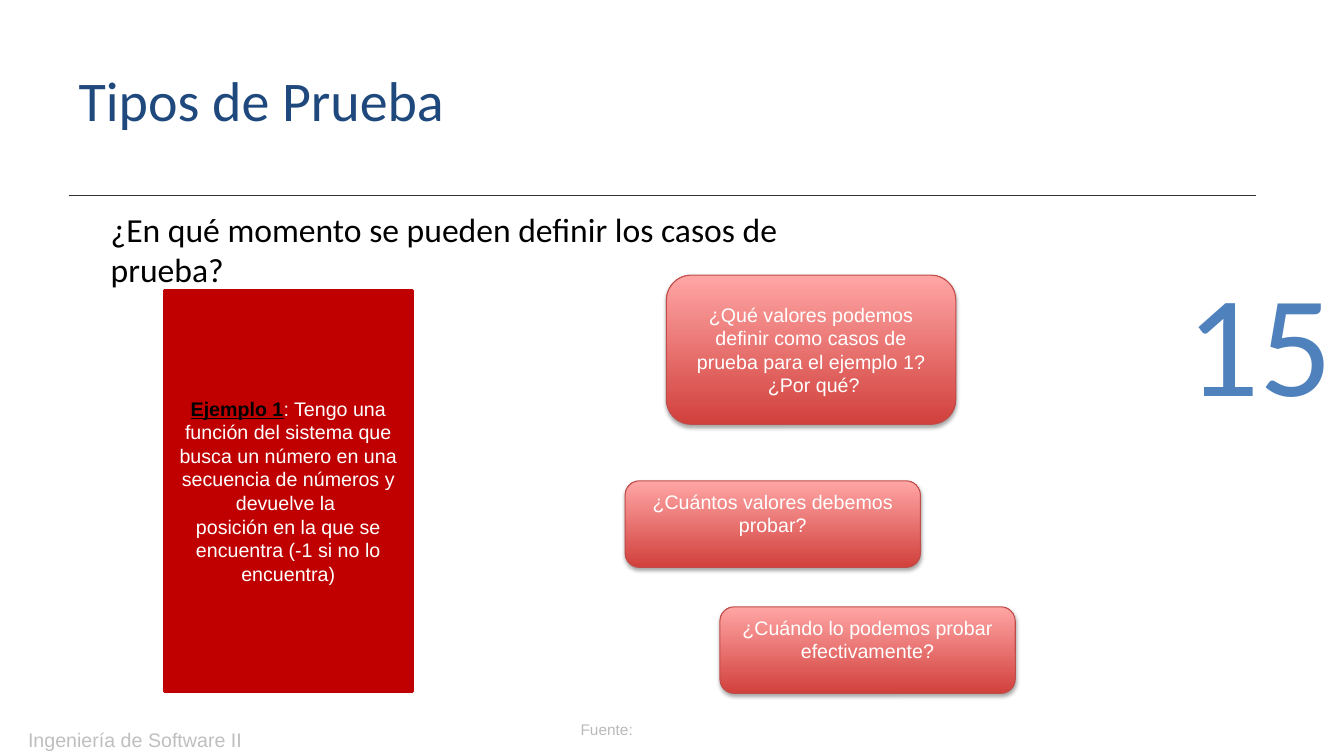
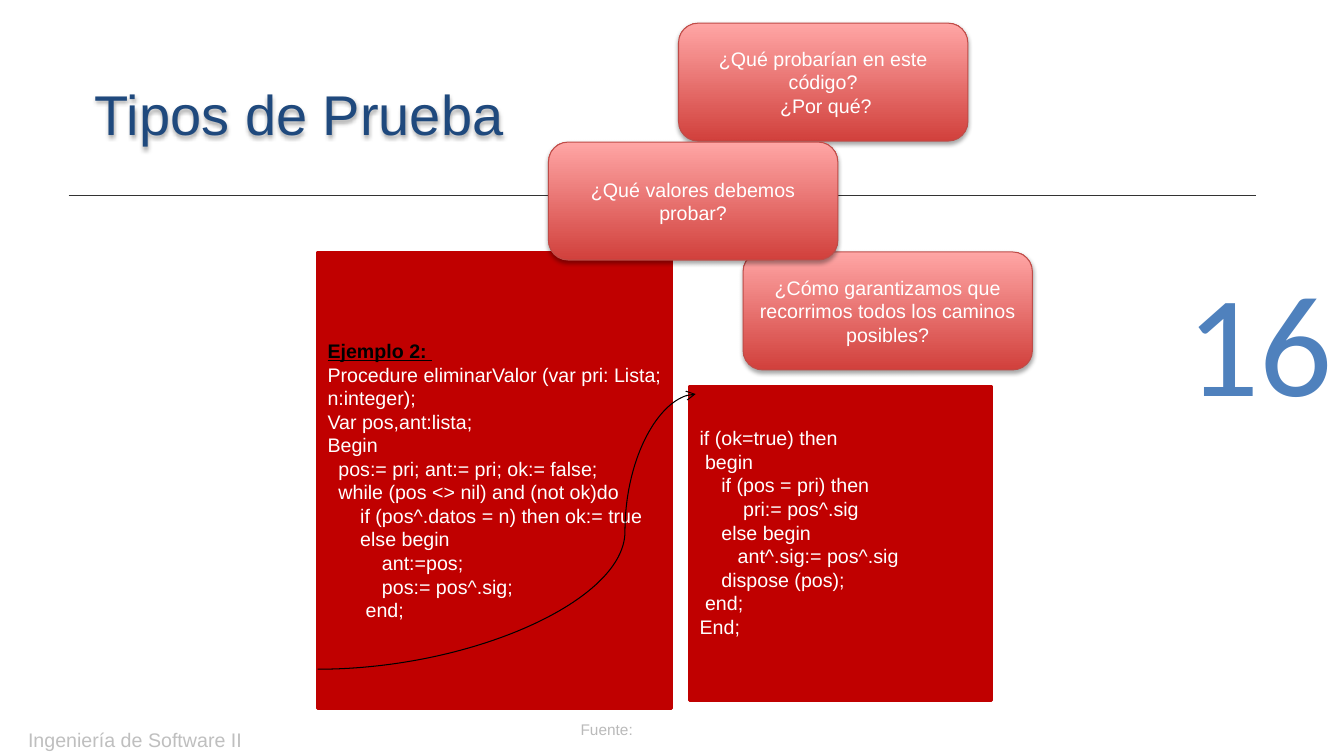
from pptx import Presentation
from pptx.dml.color import RGBColor
from pptx.enum.shapes import MSO_CONNECTOR as Link, MSO_SHAPE as Form
from pptx.enum.text import MSO_ANCHOR as Anchor, PP_ALIGN as Align
from pptx.oxml.ns import qn
from pptx.util import Inches, Pt
from lxml.etree import SubElement as Sub

HUES = {
    "title": "1F497D", "page": "4F81BD", "foot": "BFBFBF", "source": "BABABA",
    "rule": "333333", "red": "C00000", "deep": "D1403C", "pale": "FFA6A5",
    "edge": "BF4C48", "black": "000000", "white": "FFFFFF",
}
SPACE = 0.054  # width of one blank in the 14 point code font
LINE = 0.22    # height of one 14 point line


def hue(name):
    return RGBColor.from_string(HUES[name])


def style(font, size, color, face="Arial"):
    font.size, font.name = Pt(size), face
    font.color.rgb = hue(color)


def shade(shape):
    """Give a shape a soft shadow below it."""
    shape.shadow.inherit = False
    effects = shape.element.spPr.find(qn("a:effectLst"))
    outer = Sub(effects, qn("a:outerShdw"), blurRad=str(Pt(3.1)),
                dist=str(Pt(1.8)), dir="5400000", rotWithShape="0")
    tint = Sub(outer, qn("a:srgbClr"), val=HUES["black"])
    Sub(tint, qn("a:alpha"), val="35000")


def label(slide, spot, text, size, color, face="Arial",
          align=Align.LEFT, anchor=Anchor.TOP):
    box = slide.shapes.add_textbox(*map(Inches, spot))
    frame = box.text_frame
    frame.word_wrap, frame.vertical_anchor = True, anchor
    para = frame.paragraphs[0]
    para.text, para.alignment = text, align
    style(para.font, size, color, face)
    return box


def link(slide, kind, ends, color):
    line = slide.shapes.add_connector(kind, *map(Inches, ends))
    line.line.color.rgb = hue(color)
    line.line.width = Pt(0.75)
    Sub(line.element.spPr, qn("a:effectLst"))
    return line


def block(slide, form, spot, lines, align, low=0):
    """Add a shape with (indent, text) lines, lifted by low inches."""
    shape = slide.shapes.add_shape(form, *map(Inches, spot))
    shape.shadow.inherit = False
    frame = shape.text_frame
    frame.word_wrap, frame.vertical_anchor = True, Anchor.MIDDLE
    frame.margin_bottom = Inches(0.05 + low)
    for at, (depth, text) in enumerate(lines):
        para = frame.add_paragraph() if at else frame.paragraphs[0]
        para.alignment = align
        style(para.font, 14, "white")
        if depth:
            para._p.get_or_add_pPr().set("marL", str(Inches(depth * SPACE)))
        para.add_run().text = text
    return shape


def panel(slide, spot, lines, align=Align.LEFT, low=0):
    shape = block(slide, Form.RECTANGLE, spot, lines, align, low)
    shape.fill.solid()
    shape.fill.fore_color.rgb = shape.line.color.rgb = hue("red")
    shape.line.width = Pt(2)
    return shape.text_frame.paragraphs[0]


def mark(run):
    """Set a run as the heading of an example."""
    run.font.bold = run.font.underline = True
    run.font.color.rgb = hue("black")


def pill(slide, spot, *texts, low=0):
    shape = block(slide, Form.ROUNDED_RECTANGLE, spot,
                  [(0, text) for text in texts], Align.CENTER, low)
    shape.fill.gradient()
    shape.fill.gradient_angle = 90
    for stop, name in zip(shape.fill.gradient_stops, ("deep", "pale")):
        stop.color.rgb = hue(name)
    shape.line.color.rgb = hue("edge")
    shape.line.width = Pt(0.75)
    shade(shape)


def start(deck, page, left, top, face):
    """Add a slide with its title, page number and footer."""
    slide = deck.slides.add_slide(deck.slide_layouts[5])
    title = slide.shapes.title
    title.left, title.top = Inches(left), Inches(top)
    title.width, title.height = Inches(11.78), Inches(1.24)
    title.text_frame.vertical_anchor = Anchor.TOP
    para = title.text_frame.paragraphs[0]
    para.text, para.alignment = "Tipos de Prueba", Align.LEFT
    para.line_spacing = 0.85
    style(para.font, 40, "title", face)
    label(slide, (10.12, 3.12, 3.2, 1.15), str(page), 103, "page",
          "Calibri", Align.RIGHT, Anchor.BOTTOM)
    label(slide, (0.18, 7.17, 2.36, 0.23), "Ingeniería de Software II",
          14, "foot")
    return slide


def share(slide):
    """Put the rule and the source label on the layout."""
    rule = link(slide, Link.STRAIGHT, (0.68, 1.94, 12.46, 1.94), "rule")
    source = label(slide, (5.66, 7.09, 0.85, 0.29), "Fuente:", 11, "source")
    for part in (rule, source):
        slide.slide_layout.shapes.element.append(part.element)


def moment(deck):
    slide = start(deck, 15, 0.68, 0.7, "Calibri")
    share(slide)
    label(slide, (1, 2.02, 7.84, 0.5),
          "¿En qué momento se pueden definir los casos de prueba?",
          24, "black", "Calibri")
    first = panel(slide, (1.63, 2.88, 2.46, 3.98), [
        (0, "Ejemplo 1"),
        (0, "posición en la que se encuentra (-1 si no lo encuentra)"),
    ], Align.CENTER)
    mark(first.runs[0])
    first.add_run().text = (": Tengo una función del sistema que busca un "
                            "número en una secuencia de números y devuelve la ")
    # Questions
    pill(slide, (6.2, 4.77, 2.93, 0.86), "¿Cuántos valores debemos probar?",
         low=LINE)
    pill(slide, (6.61, 2.73, 2.87, 1.48),
         "¿Qué valores podemos definir como casos de prueba para el ejemplo 1?",
         " ¿Por qué?")
    pill(slide, (7.14, 6.02, 2.93, 0.86),
         "¿Cuándo lo podemos probar efectivamente?", low=LINE)


def code(deck):
    slide = start(deck, 16, 0.84, 0.84, "Arial")
    shade(slide.shapes.title)
    # Code in two panels
    first = panel(slide, (3.15, 2.5, 3.51, 4.53), [
        (0, "Ejemplo 2: "),
        (0, "Procedure eliminarValor (var pri: Lista; n:integer);"),
        (0, "Var pos,ant:lista;"),
        (0, "Begin"),
        (2, "pos:= pri; ant:= pri; ok:= false;"),
        (2, "while (pos <> nil) and (not ok)do"),
        (6, "if (pos^.datos = n) then ok:= true"),
        (6, "else begin"),
        (10, "ant:=pos;"),
        (10, "pos:= pos^.sig;"),
        (7, "end;"),
    ])
    mark(first.runs[0])
    panel(slide, (6.84, 3.83, 2.99, 3.12), [
        (0, "if (ok=true) then"),
        (1, "begin"),
        (4, "if (pos = pri) then"),
        (8, "pri:= pos^.sig"),
        (4, "else begin"),
        (7, "ant^.sig:= pos^.sig"),
        (4, "dispose (pos);"),
        (1, "end;"),
        (0, "End;"),
    ], low=LINE)
    # Arrow from one panel to the next
    arrow = link(slide, Link.CURVE, (3.15, 6.64, 6.9, 3.91), "black")
    Sub(arrow.line._get_or_add_ln(), qn("a:tailEnd"), type="arrow")
    guides = arrow.element.spPr.prstGeom.get_or_add_avLst()
    Sub(guides, qn("a:gd"), name="adj1", fmla="val 81300")
    # Questions
    for left, top, *texts in (
        (6.73, 0.23, "¿Qué probarían en este código?", " ¿Por qué?"),
        (7.37, 2.5, "¿Cómo garantizamos que recorrimos todos los caminos "
                    "posibles?"),
        (5.44, 1.41, "¿Qué valores debemos probar?"),
    ):
        pill(slide, (left, top, 2.87, 1.17), *texts)


def main():
    deck = Presentation()
    deck.slide_width, deck.slide_height = Inches(13.33), Inches(7.5)
    moment(deck)
    code(deck)
    deck.save("out.pptx")


if __name__ == "__main__":
    main()
